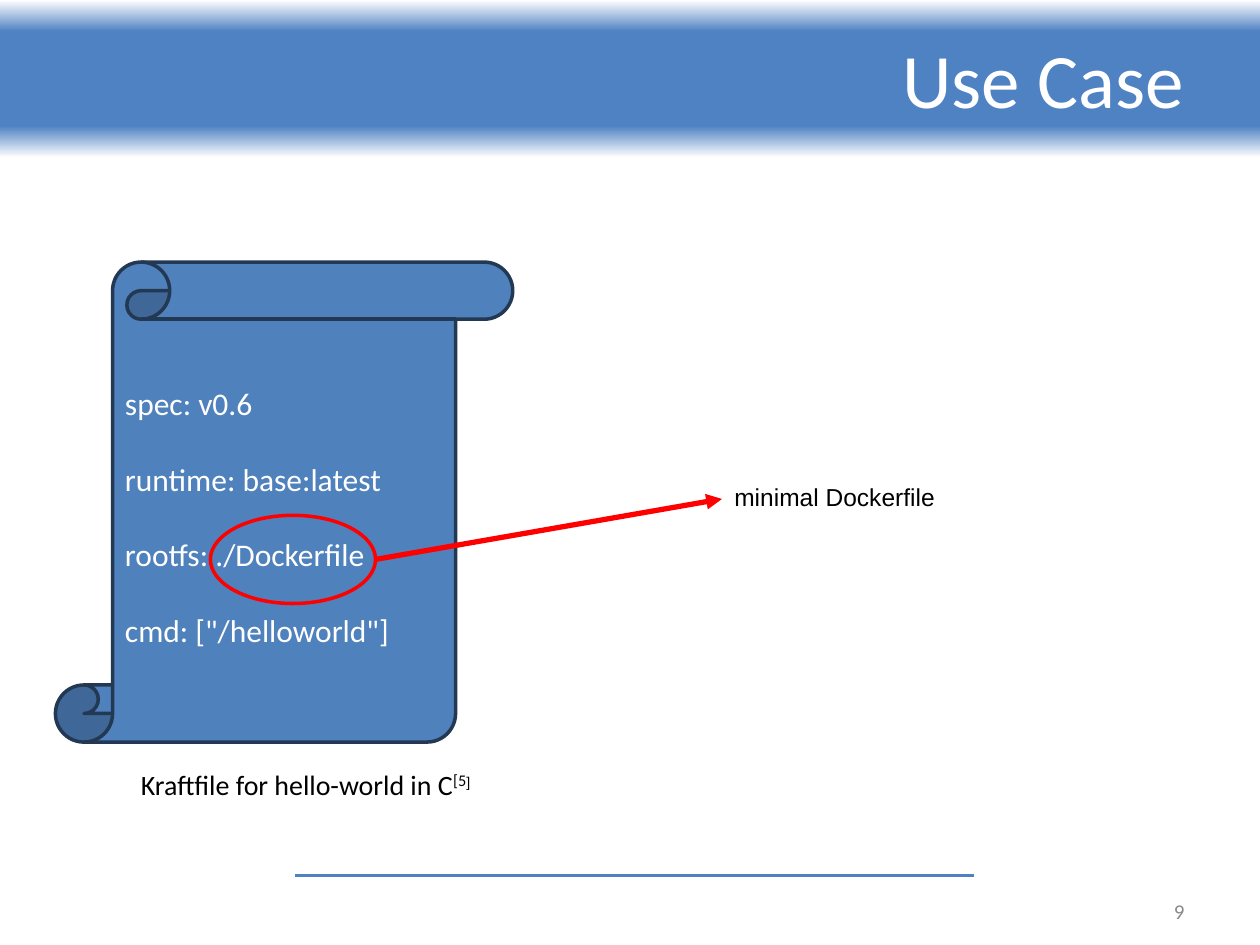
from lxml import etree
from pptx import Presentation
from pptx.dml.color import RGBColor
from pptx.enum.shapes import MSO_CONNECTOR as Connector, MSO_SHAPE as Shape
from pptx.enum.text import MSO_ANCHOR as Anchor, PP_ALIGN as Align
from pptx.oxml import parse_xml
from pptx.oxml.ns import nsdecls, qn
from pptx.util import Inches, Pt

WHITE = RGBColor(0xFF, 0xFF, 0xFF)
BLACK = RGBColor(0, 0, 0)
BLUE = RGBColor(0x4F, 0x82, 0xC3)
SCROLL_BLUE = RGBColor(0x4F, 0x81, 0xBD)
NAVY = RGBColor(0x23, 0x39, 0x53)
RED = RGBColor(0xFF, 0, 0)
GRAY = RGBColor(0x89, 0x89, 0x89)

prs = Presentation()
prs.slide_width, prs.slide_height = Inches(10), Inches(7.5)
slide = prs.slides.add_slide(prs.slide_layouts[5])
shapes = slide.shapes


def write(frame, lines, size, color, font="Calibri", align=Align.LEFT,
          anchor=Anchor.TOP, gap=0):
    """Fill a text frame with one paragraph per line."""
    frame.word_wrap = True
    frame.vertical_anchor = anchor
    frame.text = "\n".join(lines)
    for number, paragraph in enumerate(frame.paragraphs):
        paragraph.alignment = align
        paragraph.space_before = Pt(gap if number else 0)
        paragraph.font.size = Pt(size)
        paragraph.font.name = font
        paragraph.font.color.rgb = color


def add_line(start, end, color, width):
    """Draw a straight line without a shadow."""
    line = shapes.add_connector(Connector.STRAIGHT, *map(Inches, start + end))
    line.line.color.rgb = color
    line.line.width = Pt(width)
    etree.SubElement(line._element.spPr, qn("a:effectLst"))
    return line


# Title banner, fading to white at its top and bottom edges
title = shapes.title
banner = shapes.add_shape(Shape.RECTANGLE, 0, 0, prs.slide_width, Inches(1.25))
banner.shadow.inherit = False
banner.line.fill.background()
stops = "".join(
    f'<a:gs pos="{share * 1000}"><a:srgbClr val="{color}"/></a:gs>'
    for share, color in ((0, WHITE), (20, BLUE), (80, BLUE), (100, WHITE)))
fade = parse_xml(f'<a:gradFill {nsdecls("a")} rotWithShape="1"><a:gsLst>{stops}'
                 '</a:gsLst><a:lin ang="5400000" scaled="0"/></a:gradFill>')
banner._element.spPr.find(qn("a:prstGeom")).addnext(fade)
title._element.addprevious(banner._element)

# Title
title.left, title.top, title.width, title.height = map(
    Inches, (1.33, 0.14, 8.17, 0.95))
write(title.text_frame, ["Use Case"], 44, WHITE,
      align=Align.RIGHT, anchor=Anchor.MIDDLE)

# Footer rule and page number
add_line((2.34, 6.95), (7.73, 6.95), BLUE, 1.5)
page_number = shapes.add_textbox(*map(Inches, (8.52, 7.11, 0.98, 0.24)))
write(page_number.text_frame, ["9"], 12, GRAY,
      align=Align.RIGHT, anchor=Anchor.MIDDLE)

# Kraftfile scroll
kraftfile = shapes.add_shape(Shape.VERTICAL_SCROLL,
                             *map(Inches, (0.44, 2.08, 3.63, 3.81)))
kraftfile.shadow.inherit = False
kraftfile.fill.solid()
kraftfile.fill.fore_color.rgb = SCROLL_BLUE
kraftfile.line.color.rgb = NAVY
kraftfile.line.width = Pt(2)
write(kraftfile.text_frame,
      ["spec: v0.6", "runtime: base:latest", "rootfs: ./Dockerfile",
       'cmd: ["/helloworld"]'],
      18, WHITE, anchor=Anchor.MIDDLE, gap=21.5)

# Caption with a raised reference
caption = shapes.add_textbox(*map(Inches, (1.02, 6.04, 8.64, 0.38)))
write(caption.text_frame, ["Kraftfile for hello-world in C"], 16, BLACK)
for mark, size, font in (("[5", 16, "Calibri"), ("]", 14, "Arial")):
    reference = caption.text_frame.paragraphs[0].add_run()
    reference.text = mark
    reference.font.size = Pt(size)
    reference.font.name = font
    reference.font._element.set("baseline", "30000")

# Highlight around the Dockerfile entry, with an arrow to its note
highlight = shapes.add_shape(Shape.OVAL, *map(Inches, (1.67, 4.09, 1.31, 0.7)))
highlight.shadow.inherit = False
highlight.fill.background()
highlight.line.color.rgb = RED
highlight.line.width = Pt(2)

arrow = add_line((2.98, 4.44), (5.73, 3.96), RED, 3)
etree.SubElement(arrow.line._get_or_add_ln(), qn("a:tailEnd"), type="triangle")

note = shapes.add_textbox(*map(Inches, (5.73, 3.78, 2.54, 0.34)))
write(note.text_frame, ["minimal Dockerfile"], 14, BLACK, font="Arial")

prs.save("out.pptx")
